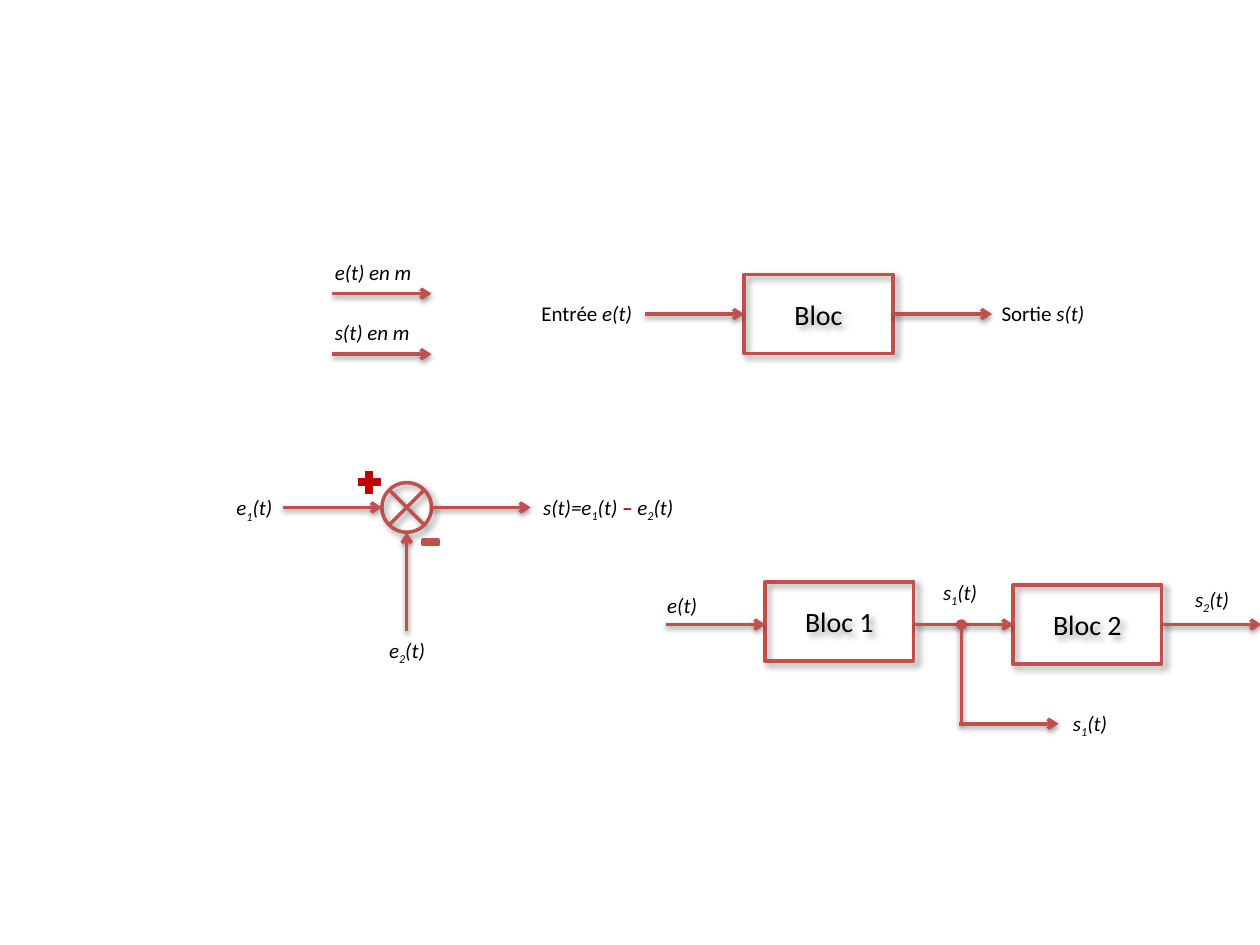
from dataclasses import dataclass
from lxml.etree import SubElement
from pptx import Presentation
from pptx.dml.color import RGBColor
from pptx.enum.shapes import MSO_CONNECTOR, MSO_SHAPE
from pptx.enum.text import MSO_ANCHOR, MSO_AUTO_SIZE, PP_ALIGN
from pptx.oxml.ns import qn
from pptx.util import Cm, Pt


@dataclass(frozen=True)
class Theme:
    font: str = "Calibri"
    ink: RGBColor = RGBColor(0, 0, 0)
    main: RGBColor = RGBColor(0xC0, 0x50, 0x4D)
    sign: RGBColor = RGBColor(0xC0, 0, 0)
    small: int = 12
    large: int = 16
    stroke: float = 2
    soft: tuple = (40, 3.15, 1.57, 90)
    deep: tuple = (40, 4, 3, 45)


class Diagram:
    def __init__(self, slide, theme):
        self.slide = slide
        self.theme = theme

    def shade(self, effect, look):
        alpha, blur, dist, angle = look
        cast = SubElement(effect, qn("a:outerShdw"), blurRad=str(Pt(blur)),
                          dist=str(Pt(dist)), dir=str(angle * 60000),
                          rotWithShape="0")
        tint = SubElement(cast, qn("a:srgbClr"), val=str(self.theme.ink))
        SubElement(tint, qn("a:alpha"), val=str(alpha * 1000))

    def line(self, x, y, dx=2, dy=0, tip="arrow"):
        link = self.slide.shapes.add_connector(
            MSO_CONNECTOR.STRAIGHT, Cm(x), Cm(y), Cm(x + dx), Cm(y + dy))
        link.line.color.rgb = self.theme.main
        link.line.width = Pt(self.theme.stroke)
        SubElement(link.line._get_or_add_ln(), qn("a:tailEnd"), type=tip)
        props = link._element.spPr
        self.shade(SubElement(props, qn("a:effectLst")), self.theme.soft)

    def shape(self, kind, x, y, w, h, fill=None, stroke=None):
        item = self.slide.shapes.add_shape(kind, Cm(x), Cm(y), Cm(w), Cm(h))
        item.shadow.inherit = False
        item.line.color.rgb = fill or self.theme.main
        item.line.width = Pt(stroke or self.theme.stroke)
        if fill:
            item.fill.solid()
            item.fill.fore_color.rgb = fill
        else:
            item.fill.background()
            effect = item._element.spPr.find(qn("a:effectLst"))
            self.shade(effect, self.theme.deep)
        return item

    def style(self, para, size, align):
        para.alignment = align
        para.font.name = self.theme.font
        para.font.size = Pt(size)
        para.font.color.rgb = self.theme.ink

    def block(self, name, x, y):
        frame = self.shape(MSO_SHAPE.RECTANGLE, x, y, 3, 1.6).text_frame
        frame.vertical_anchor = MSO_ANCHOR.MIDDLE
        para = frame.paragraphs[0]
        para.text = name
        self.style(para, self.theme.large, PP_ALIGN.CENTER)

    def label(self, runs, x, y, w=2.39, align=PP_ALIGN.LEFT):
        box = self.slide.shapes.add_textbox(Cm(x), Cm(y), Cm(w), Cm(0.77))
        frame = box.text_frame
        frame.word_wrap = True
        frame.auto_size = MSO_AUTO_SIZE.SHAPE_TO_FIT_TEXT
        para = frame.paragraphs[0]
        self.style(para, self.theme.small, align)
        slant = all(kind != "plain" for _, kind in runs)
        if slant:
            para.font.italic = True
        for text, kind in runs:
            run = para.add_run()
            run.text = text
            if not slant and kind != "plain":
                run.font.italic = True
            if kind == "sub":
                run._r.get_or_add_rPr().set("baseline", "-25000")
            if kind == "sign":
                run.font.bold = True
                run.font.color.rgb = self.theme.sign


def signal(name, index):
    return [(name, "math"), (index, "sub"), ("(t)", "math")]


deck = Presentation()
deck.slide_width, deck.slide_height = Cm(25.4), Cm(19.05)
theme = Theme()
draw = Diagram(deck.slides.add_slide(deck.slide_layouts[6]), theme)
LEFT, MID, RIGHT = PP_ALIGN.LEFT, PP_ALIGN.CENTER, PP_ALIGN.RIGHT

for text, y in (("e(t) en m", 5.92), ("s(t) en m", 7.14)):
    draw.line(6.7, y)
    draw.label([(text, "math")], 6.5, y - 0.82)

draw.block("Bloc", 15, 5.53)
for x in (13, 18):
    draw.line(x, 6.33)
for name, sign, x, align in (("Entrée ", "e(t)", 10.6, RIGHT),
                             ("Sortie ", "s(t)", 19.94, LEFT)):
    draw.label([(name, "plain"), (sign, "math")], x, 5.94, align=align)

draw.shape(MSO_SHAPE.FLOWCHART_SUMMING_JUNCTION, 7.7, 9.73, 1, 1)
for x in (5.7, 8.7):
    draw.line(x, 10.23)
draw.line(8.2, 12.73, 0, -2)
draw.label(signal("e", "1"), 3.35, 9.85, align=RIGHT)
draw.label(signal("e", "2"), 7.01, 12.73, align=MID)
draw.label(signal("s(t)=e", "1") + [(" ", "math"), ("–", "sign")]
           + signal(" e", "2"), 10.7, 9.84, 4)
draw.shape(MSO_SHAPE.MATH_PLUS, 7.14, 9.42, 0.6, 0.6, theme.sign, 0.25)
draw.shape(MSO_SHAPE.MATH_MINUS, 8.48, 10.73, 0.4, 0.4, theme.main)

draw.block("Bloc 1", 15.42, 11.73)
draw.block("Bloc 2", 20.42, 11.79)
for x in (13.43, 18.43, 23.43):
    draw.line(x, 12.59)
draw.line(19.38, 14.59, 0, -2, "oval")
draw.line(19.34, 14.59)
draw.label([("e(t)", "math")], 11.91, 11.83, align=RIGHT)
for index, x, y in (("1", 18.72, 11.56), ("1", 21.34, 14.2),
                    ("2", 23.8, 11.69)):
    draw.label(signal("s", index), x, y, 1.27, MID)

deck.save("out.pptx")
